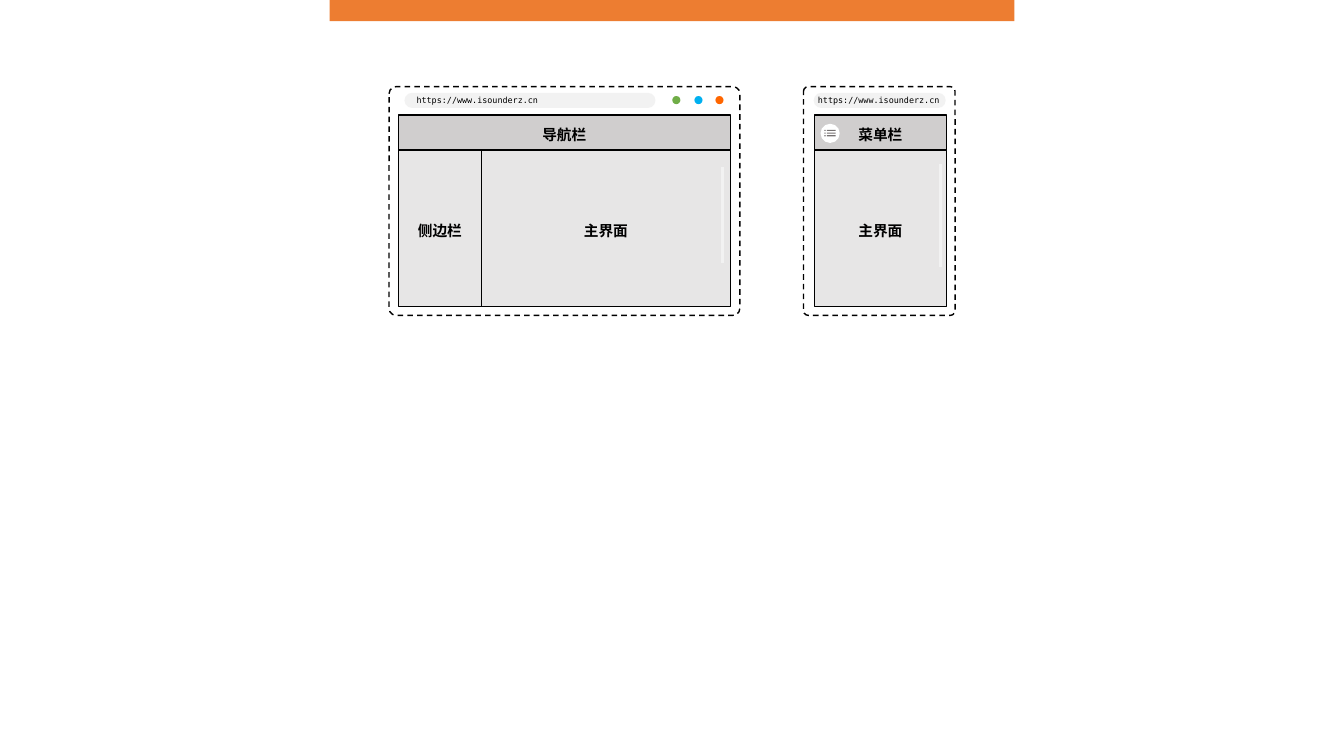
import pptx
import pptx.dml.color
import pptx.enum.dml
import pptx.enum.shapes
import pptx.enum.text
import pptx.oxml
import pptx.oxml.ns
import pptx.util

Pt = pptx.util.Pt
SHAPE = pptx.enum.shapes.MSO_SHAPE
ALIGN = pptx.enum.text.PP_ALIGN
FONT = "DejaVu Sans Mono"
URL = "https://www.isounderz.cn"
COLORS = {
    "black": "000000",
    "white": "FFFFFF",
    "banner": "ED7D31",
    "bar": "D0CECE",
    "panel": "E7E6E6",
    "light": "F2F2F2",
    "icon": "767171",
    "green": "70AD47",
    "blue": "00B0F0",
    "orange": "FF6600",
}
FRAME_TOP, FRAME_HEIGHT = 61.9, 163.4
BAR_TOP, BAR_HEIGHT = 82.1, 25.2
BODY_TOP, BODY_HEIGHT = 107.3, 111.6


def rgb(name):
    """Return the named colour."""
    return pptx.dml.color.RGBColor.from_string(COLORS[name])


def add_block(shapes, kind, box, fill=None, outlined=False):
    """Add a preset shape with an optional fill and black outline."""
    shape = shapes.add_shape(kind, *map(Pt, box))
    shape.shadow.inherit = False
    if fill:
        shape.fill.solid()
        shape.fill.fore_color.rgb = rgb(fill)
    else:
        shape.fill.background()
    if outlined:
        shape.line.color.rgb = rgb("black")
        shape.line.width = Pt(1)
    else:
        shape.line.fill.background()
    return shape


def write_text(shape, text, size, alignment, bold=False, left=0, top=0):
    """Write one vertically centred line into a shape."""
    frame = shape.text_frame
    frame.margin_left, frame.margin_top = Pt(left), Pt(top)
    frame.margin_right = frame.margin_bottom = 0
    frame.vertical_anchor = pptx.enum.text.MSO_ANCHOR.MIDDLE
    paragraph = frame.paragraphs[0]
    paragraph.text = text
    paragraph.alignment = alignment
    paragraph.font.name = FONT
    paragraph.font.size = Pt(size)
    paragraph.font.bold = bold
    paragraph.font.color.rgb = rgb("black")


def add_panel(shapes, text, box, fill):
    """Add an outlined page region with a bold label."""
    panel = add_block(shapes, SHAPE.RECTANGLE, box, fill, outlined=True)
    write_text(panel, text, 10.5, ALIGN.CENTER, bold=True, top=2.9)


def add_window_frame(shapes, left, width):
    """Add the dashed outline of a browser window."""
    box = (left, FRAME_TOP, width, FRAME_HEIGHT)
    frame = add_block(shapes, SHAPE.ROUNDED_RECTANGLE, box, outlined=True)
    frame.adjustments[0] = 0.031
    frame.line.dash_style = pptx.enum.dml.MSO_LINE.DASH


def add_address_bar(shapes, left, width, inset):
    """Add a pill-shaped address bar holding the URL."""
    box = (left, 66.3, width, 10.8)
    bar = add_block(shapes, SHAPE.ROUNDED_RECTANGLE, box, "light")
    bar.adjustments[0] = 0.5
    write_text(bar, URL, 6, ALIGN.LEFT, left=inset)


def add_scrollbar(shapes, x, top, bottom):
    """Add a vertical scrollbar line."""
    line = shapes.add_connector(
        pptx.enum.shapes.MSO_CONNECTOR.STRAIGHT, Pt(x), Pt(top), Pt(x), Pt(bottom)
    )
    line.line.color.rgb = rgb("light")
    line.line.width = Pt(2)
    properties = line._element.spPr
    properties.append(pptx.oxml.parse_xml(
        f'<a:effectLst {pptx.oxml.ns.nsdecls("a")}/>'
    ))


def add_menu_icon(shapes):
    """Add a round button with three bulleted rows."""
    add_block(shapes, SHAPE.OVAL, (586.1, 88.4, 13.7, 13.7), "white")
    for row in range(3):
        top = 92.8 + 1.9 * row
        for left, width in ((588.9, 0.9), (590.6, 6.3)):
            add_block(shapes, SHAPE.RECTANGLE, (left, top, width, 0.8), "icon")


def add_desktop(shapes):
    """Draw the wide browser layout."""
    add_window_frame(shapes, 277.9, 250.6)
    add_panel(shapes, "导航栏", (284.6, BAR_TOP, 237, BAR_HEIGHT), "bar")
    add_panel(shapes, "侧边栏", (284.6, BODY_TOP, 59.3, BODY_HEIGHT), "panel")
    add_panel(shapes, "主界面", (343.9, BODY_TOP, 177.7, BODY_HEIGHT), "panel")
    for left, color in ((480.2, "green"), (496, "blue"), (511, "orange")):
        add_block(shapes, SHAPE.OVAL, (left, 68.6, 5.8, 5.8), color)
    add_scrollbar(shapes, 516.2, 119.5, 187.9)
    add_address_bar(shapes, 288.9, 179.3, 7.2)


def add_phone(shapes):
    """Draw the narrow browser layout."""
    add_window_frame(shapes, 573.9, 108.3)
    add_panel(shapes, "菜单栏", (581.7, BAR_TOP, 94.3, BAR_HEIGHT), "bar")
    add_panel(shapes, "主界面", (581.7, BODY_TOP, 94.3, BODY_HEIGHT), "panel")
    add_scrollbar(shapes, 671.8, 117.4, 190.8)
    add_menu_icon(shapes)
    add_address_bar(shapes, 581.2, 94.3, 1.5)


def main():
    """Build the slide and save it."""
    presentation = pptx.Presentation()
    presentation.slide_width, presentation.slide_height = Pt(960), Pt(540)
    slide = presentation.slides.add_slide(presentation.slide_layouts[6])
    add_block(slide.shapes, SHAPE.RECTANGLE, (235.4, 0, 489.3, 15.1), "banner")
    add_phone(slide.shapes.add_group_shape().shapes)
    add_desktop(slide.shapes.add_group_shape().shapes)
    presentation.save("out.pptx")


if __name__ == "__main__":
    main()
